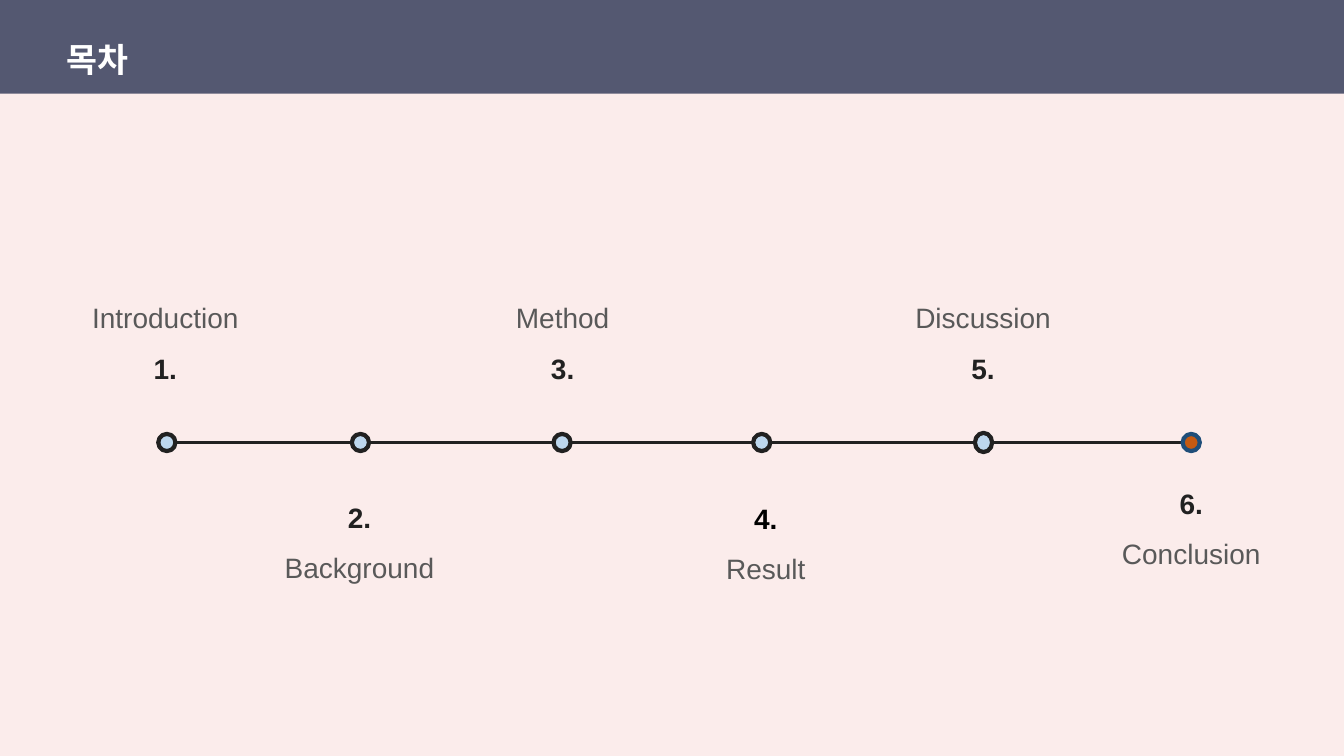
from dataclasses import dataclass

from lxml import etree
from pptx import Presentation
from pptx.dml.color import RGBColor
from pptx.enum.shapes import MSO_CONNECTOR, MSO_SHAPE
from pptx.enum.text import MSO_AUTO_SIZE, PP_ALIGN
from pptx.oxml.ns import qn
from pptx.util import Inches, Pt

RECT, OVAL = MSO_SHAPE.RECTANGLE, MSO_SHAPE.OVAL
STRAIGHT = MSO_CONNECTOR.STRAIGHT
LEFT, CENTER = PP_ALIGN.LEFT, PP_ALIGN.CENTER
GROW = MSO_AUTO_SIZE.SHAPE_TO_FIT_TEXT

PINK = RGBColor(0xFB, 0xEC, 0xEB)
SLATE = RGBColor(0x54, 0x58, 0x71)
WHITE = RGBColor(0xFF, 0xFF, 0xFF)
BLACK = RGBColor(0x00, 0x00, 0x00)
INK = RGBColor(0x21, 0x21, 0x21)
GRAY = RGBColor(0x59, 0x59, 0x59)
LIGHT_BLUE = RGBColor(0xBD, 0xD7, 0xEE)
NAVY = RGBColor(0x1F, 0x4E, 0x79)
ORANGE = RGBColor(0xC5, 0x5A, 0x11)

FONT = "Arial"
AXIS_Y = 4.39
DOT = 0.17


@dataclass
class Step:
    name: str
    dot_x: float
    label_x: float
    label_y: float
    label_w: float
    above: bool
    label_h: float = 1.06
    dot_h: float = DOT
    number_color: RGBColor = INK
    fill: RGBColor = LIGHT_BLUE
    outline: RGBColor = INK


STEPS = [
    Step("Introduction", 1.57, 0.45, 2.77, 2.38, True, label_h=1.56),
    Step("Background", 3.49, 2.49, 4.75, 2.15, False),
    Step("Method", 5.49, 4.39, 2.77, 2.38, True),
    Step("Result", 7.47, 6.52, 4.76, 2.15, False, number_color=BLACK),
    Step("Discussion", 9.67, 8.79, 2.77, 1.92, True, dot_h=0.19),
    Step("Conclusion", 11.73, 10.74, 4.61, 2.15, False, fill=ORANGE, outline=NAVY),
]


def add_paragraph(tf, text: str, *, first: bool = False, size: int = 20,
                  color: RGBColor = GRAY, bold: bool = False, align=CENTER) -> None:
    p = tf.paragraphs[0] if first else tf.add_paragraph()
    p.alignment = align
    p.line_spacing = 1.5
    r = p.add_run()
    r.text = text
    r.font.name, r.font.size, r.font.bold = FONT, Pt(size), bold
    r.font.color.rgb = color


def add_text_box(s, x: float, y: float, w: float, h: float, wrap: bool = True):
    tf = s.shapes.add_textbox(Inches(x), Inches(y), Inches(w), Inches(h)).text_frame
    tf.word_wrap = wrap
    return tf


def add_filled(s, kind, x: float, y: float, w: float, h: float, fill: RGBColor):
    sp = s.shapes.add_shape(kind, Inches(x), Inches(y), Inches(w), Inches(h))
    sp.shadow.inherit = False
    sp.fill.solid()
    sp.fill.fore_color.rgb = fill
    sp.line.fill.background()
    return sp


def add_step(s, number: int, step: Step) -> None:
    # Dot centred on the axis
    dot = add_filled(s, OVAL, step.dot_x, AXIS_Y - step.dot_h / 2, DOT, step.dot_h, step.fill)
    dot.line.color.rgb = step.outline
    dot.line.width = Pt(3)

    # The number is always the line nearer the axis
    tf = add_text_box(s, step.label_x, step.label_y, step.label_w, step.label_h)
    lines = [(f"{number}.", step.number_color, True), (step.name, GRAY, False)]
    if step.above:
        lines.reverse()
    for i, (text, color, bold) in enumerate(lines):
        add_paragraph(tf, text, first=i == 0, color=color, bold=bold)


def main() -> None:
    prs = Presentation()
    prs.slide_width, prs.slide_height = Inches(13.33), Inches(7.5)
    s = prs.slides.add_slide(prs.slide_layouts[6])
    s.background.fill.solid()
    s.background.fill.fore_color.rgb = PINK

    # Header
    add_filled(s, RECT, 0, 0, 13.33, 0.93, SLATE)
    tf = add_text_box(s, 0.56, 0.14, 0.93, 0.63, wrap=False)
    tf.auto_size = GROW
    add_paragraph(tf, "목차", first=True, size=24, color=WHITE, bold=True, align=LEFT)

    # Timeline axis from the first dot to the last
    axis = s.shapes.add_connector(STRAIGHT, Inches(STEPS[0].dot_x + DOT), Inches(AXIS_Y),
                                  Inches(STEPS[-1].dot_x), Inches(AXIS_Y))
    axis.line.color.rgb = INK
    axis.line.width = Pt(2.25)
    etree.SubElement(axis._element.spPr, qn("a:effectLst"))

    # Steps
    for number, step in enumerate(STEPS, 1):
        add_step(s, number, step)

    prs.save("out.pptx")


if __name__ == "__main__":
    main()
